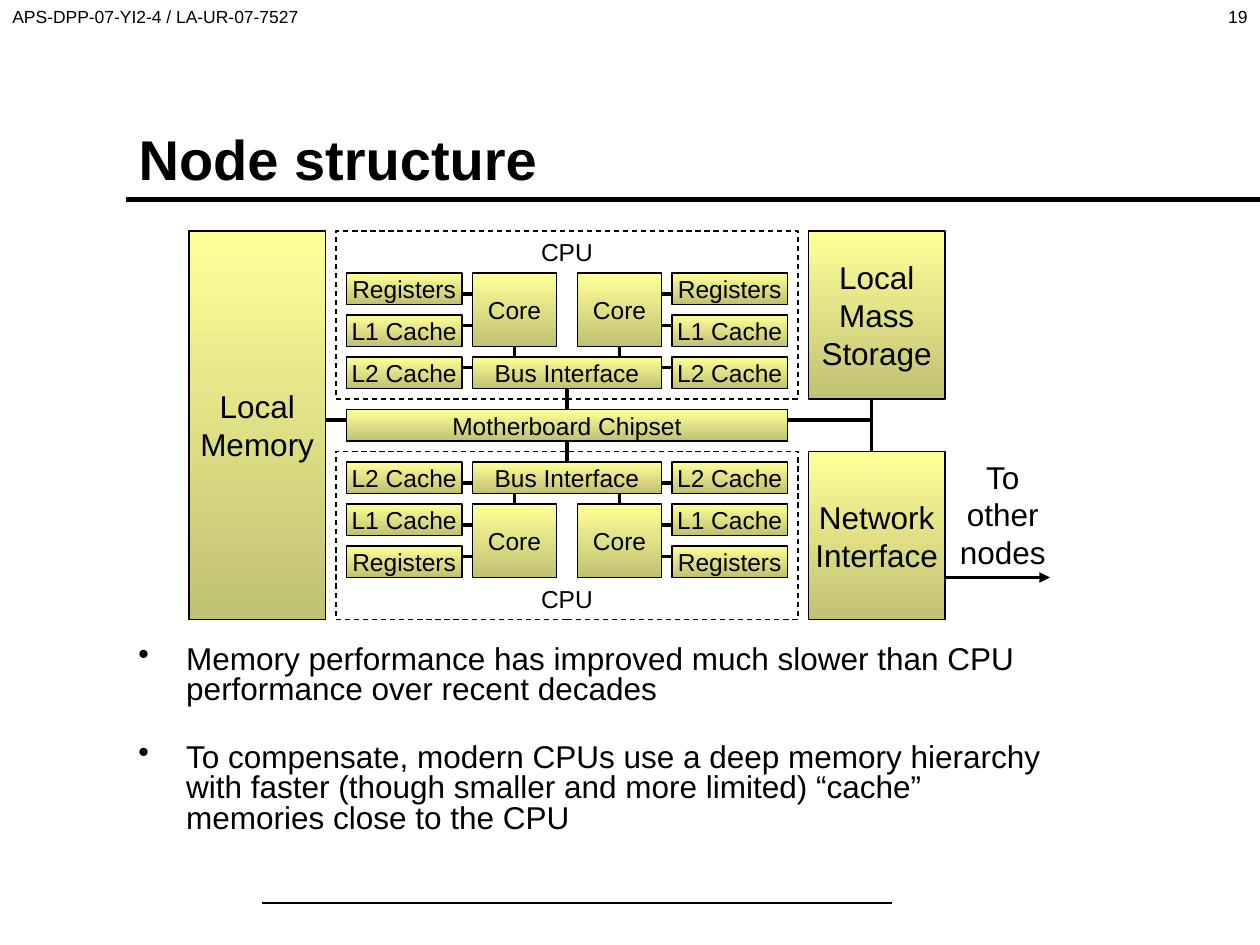
from lxml.etree import SubElement
from pptx import Presentation
from pptx.dml.color import RGBColor
from pptx.enum.dml import MSO_LINE
from pptx.enum.shapes import MSO_CONNECTOR, MSO_SHAPE
from pptx.enum.text import MSO_ANCHOR as Anchor, MSO_AUTO_SIZE, PP_ALIGN as Align
from pptx.oxml.ns import qn
from pptx.util import Inches, Pt

BLACK, LIGHT, DARK = "000000", "FFFF99", "C1C173"
BULLETS = [
    "Memory performance has improved much slower than CPU performance over recent decades",
    "To compensate, modern CPUs use a deep memory hierarchy with faster "
    "(though smaller and more limited) “cache” memories close to the CPU",
]


def color(hex_code):
    """Turn a hex string into a colour."""
    return RGBColor.from_string(hex_code)


def grid(units):
    """Turn diagram grid units, twelve to the inch, into a length."""
    return Inches(units / 12)


def write(shape, text, size, align=Align.LEFT, anchor=Anchor.TOP, wrap=True, bold=False):
    """Fill a shape with text in one style."""
    frame = shape.text_frame
    frame.text = text
    frame.word_wrap = wrap
    frame.auto_size = MSO_AUTO_SIZE.NONE
    frame.vertical_anchor = anchor
    for para in frame.paragraphs:
        para.alignment = align
        para.font.name = "Arial"
        para.font.size = Pt(size)
        para.font.bold = bold
        para.font.color.rgb = color(BLACK)
    return frame


def add_text(page, box, text, size, align=Align.LEFT):
    """Add a wrapped text box at box, given in lengths."""
    return write(page.shapes.add_textbox(*box), text, size, align)


def add_rectangle(page, box, text, size, anchor=Anchor.MIDDLE):
    """Add an outlined rectangle at box, given in grid units."""
    shape = page.shapes.add_shape(MSO_SHAPE.RECTANGLE, *map(grid, box))
    shape.shadow.inherit = False
    shape.line.color.rgb = color(BLACK)
    shape.line.width = Pt(0.75)
    write(shape, text, size, Align.CENTER, anchor, wrap=False)
    return shape


def add_block(page, box, text, size=14):
    """Add a gradient block of the diagram."""
    block = add_rectangle(page, box, text, size)
    block.fill.gradient()
    block.fill.gradient_angle = 270
    for stop, hex_code in zip(block.fill.gradient_stops, (LIGHT, DARK)):
        stop.color.rgb = color(hex_code)
    return block


def add_line(page, start, end, width=2, arrow=False):
    """Add a straight line between two points in grid units."""
    line = page.shapes.add_connector(
        MSO_CONNECTOR.STRAIGHT, *map(grid, (*start, *end)))
    line.line.color.rgb = color(BLACK)
    line.line.width = Pt(width)
    properties = line._element.spPr
    if arrow:
        SubElement(properties.find(qn("a:ln")), qn("a:tailEnd"), type="triangle")
    SubElement(properties, qn("a:effectLst"))
    return line


def draw_cpu(page, box, flipped=False):
    """Draw a dual-core CPU, upside down if flipped, and return its bus interface."""
    left, top, width, height = box

    def place(x, y, w, h):
        """Move a part into the CPU box."""
        return left + x, top + (height - y - h if flipped else y), w, h

    frame = add_rectangle(page, box, "CPU", 14, Anchor.BOTTOM if flipped else Anchor.TOP)
    frame.fill.background()
    frame.line.dash_style = MSO_LINE.DASH

    bus = add_block(page, place(13, 12, 18, 3), "Bus Interface")
    for core_x, cache_x, link_x in ((13, 1, 12), (23, 32, 31)):
        core = add_block(page, place(core_x, 4, 8, 7), "Core")
        x, y, _, _ = place(core_x + 4, 11, 0, 0)
        bus_y = place(0, 12, 0, 0)[1]
        add_line(page, (x, y), (x, bus_y)).begin_connect(core, 0 if flipped else 2)
        memories = (("Registers", 4, 6), ("L1 Cache", 8, 9), ("L2 Cache", 12, 13))
        for name, cache_y, link_y in memories:
            add_block(page, place(cache_x, cache_y, 11, 3), name)
            x, y, _, _ = place(link_x, link_y, 0, 0)
            add_line(page, (x, y), (x + 1, y))
    return bus


def draw_node(page, box):
    """Draw the memory, CPUs, chipset, storage and network of a node."""
    left, top, width, height = box
    side, unit_height = 13, 16
    right, bottom = left + width, top + height
    side_left, link_x = right - side, right - 7
    cpu_left, cpu_width = left + side + 1, width - 2 * side - 2
    low_top = bottom - unit_height
    chip_left, chip_top, chip_width = cpu_left + 1, top + 17, cpu_width - 2
    chip_middle, link_y = chip_left + chip_width / 2, chip_top + 1

    add_block(page, (left, top, side, height), "Local\nMemory", 18)
    add_block(page, (side_left, top, side, unit_height), "Local\nMass\nStorage", 18)
    add_block(page, (side_left, low_top, side, unit_height), "Network\nInterface", 18)
    chipset = add_block(page, (chip_left, chip_top, chip_width, 3), "Motherboard Chipset")

    for cpu_top, flipped in ((top, False), (low_top, True)):
        bus = draw_cpu(page, (cpu_left, cpu_top, cpu_width, unit_height), flipped)
        link = add_line(page, (chip_middle, chip_top), (chip_middle, chip_top))
        link.begin_connect(bus, 0 if flipped else 2)
        link.end_connect(chipset, 2 if flipped else 0)

    add_line(page, (left + side, link_y), (chip_left, link_y))
    add_line(page, (chip_left + chip_width, link_y), (link_x, link_y))
    add_line(page, (link_x, top + unit_height), (link_x, low_top))
    add_line(page, (right, bottom - 4), (right + 10, bottom - 4), arrow=True)
    add_text(page, map(grid, (right, low_top, 11, 12)), "To\nother\nnodes", 18, Align.CENTER)


def draw_bullets(page, box):
    """Write the bulleted remarks."""
    frame = add_text(page, box, "\n".join(BULLETS), 18)
    for index, para in enumerate(frame.paragraphs):
        para.line_spacing = 0.8
        para.space_before = Pt(21.5 if index else 0)
        properties = para._p.get_or_add_pPr()
        properties.set("marL", str(Inches(0.38)))
        properties.set("indent", str(-Inches(0.38)))
        bullet = properties.makeelement(qn("a:buChar"), {"char": "•"})
        properties.insert_element_before(bullet, "a:tabLst", "a:defRPr", "a:extLst")


def draw_header(page, box):
    """Write the report number and page number across the top."""
    left, top, width, height = box
    part = Inches(2.5)
    add_text(page, (left, top, part, height), "APS-DPP-07-YI2-4 / LA-UR-07-7527", 10)
    add_text(page, (left + width - part, top, part, height), "19", 10, Align.RIGHT)


def draw_title(page, box):
    """Place the title and the rules of the page."""
    title = page.shapes.title
    title.left, title.top, title.width, title.height = box
    write(title, "Node structure", 32, anchor=Anchor.MIDDLE, bold=True)
    add_line(page, (12, 19), (120, 19), width=3)
    add_line(page, (25, 86), (85, 86), width=1.5)


def main():
    """Build the deck."""
    deck = Presentation()
    deck.slide_width, deck.slide_height = Inches(10), Inches(7.5)
    page = deck.slides.add_slide(deck.slide_layouts[5])
    draw_title(page, (Inches(1), Inches(0.92), Inches(8), Inches(0.67)))
    draw_node(page, (18, 22, 72, 37))
    draw_bullets(page, (Inches(1), Inches(5.08), Inches(7.5), Inches(1.75)))
    draw_header(page, (0, 0, deck.slide_width, Inches(0.42)))
    deck.save("out.pptx")


if __name__ == "__main__":
    main()
